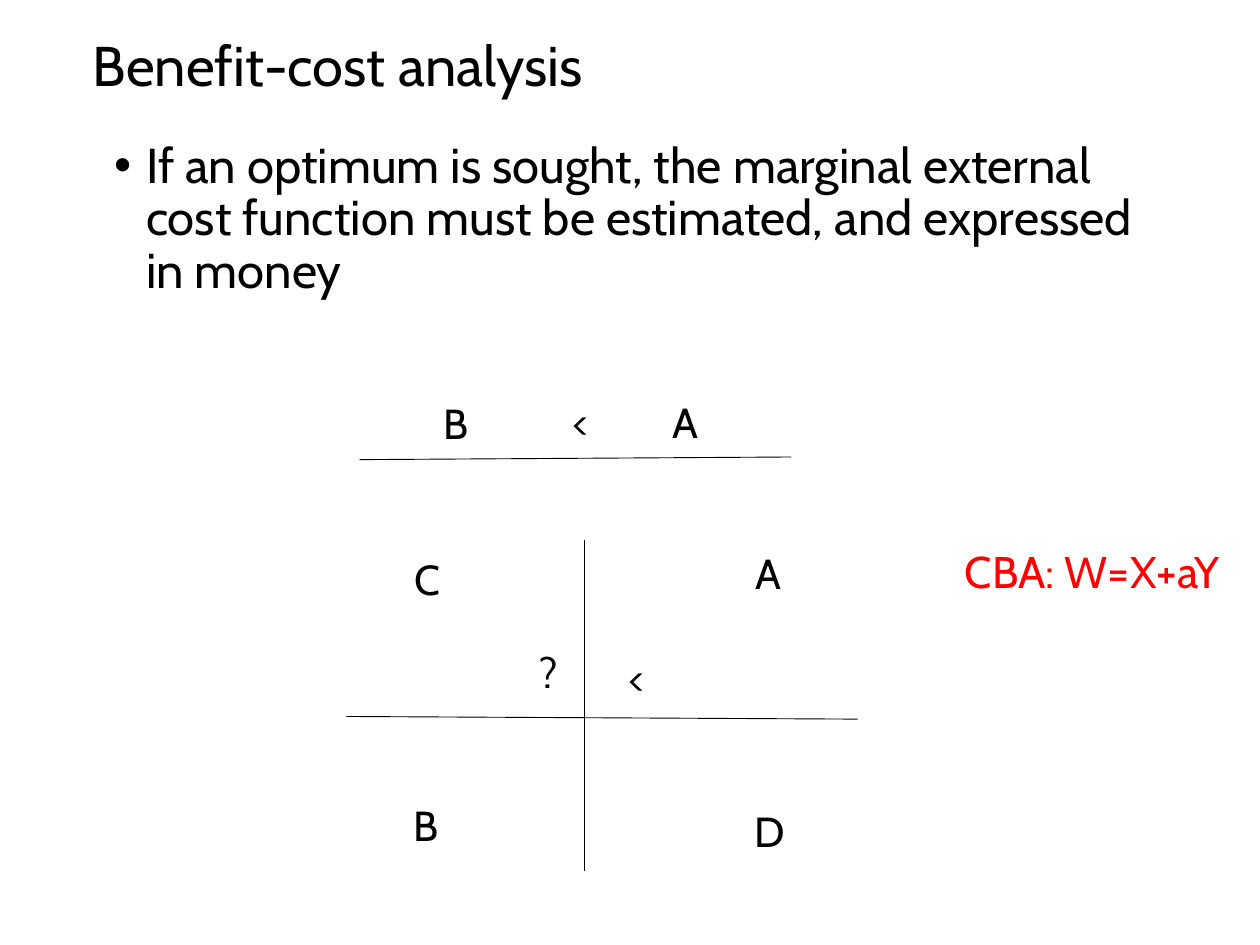
from lxml.etree import SubElement
from pptx import Presentation
from pptx.dml.color import RGBColor
from pptx.enum.shapes import MSO_CONNECTOR
from pptx.enum.text import MSO_ANCHOR, MSO_AUTO_SIZE
from pptx.oxml.ns import qn
from pptx.util import Pt

PX = 9144  # 100 px to the inch
COLORS = {"ink": "000000", "formula": "FF0000"}

deck = Presentation()
deck.slide_width, deck.slide_height = 1422 * PX, 1067 * PX
slide = deck.slides.add_slide(deck.slide_layouts[6])


def add_text(text, left, top, width, height, size=34.1, color="ink", wrap=True,
             grow=True, anchor=MSO_ANCHOR.TOP, spacing=None, hanging=0):
    """Add a text box; a hanging indent in px also gives it a bullet."""
    box = slide.shapes.add_textbox(left * PX, top * PX, width * PX, height * PX)
    frame = box.text_frame
    frame.word_wrap = wrap
    frame.auto_size = MSO_AUTO_SIZE.SHAPE_TO_FIT_TEXT if grow else MSO_AUTO_SIZE.NONE
    frame.vertical_anchor = anchor
    paragraph = frame.paragraphs[0]
    paragraph.text = text
    if hanging:
        properties = paragraph._p.get_or_add_pPr()
        properties.set("marL", str(hanging * PX))
        properties.set("indent", str(-hanging * PX))
        SubElement(properties, qn("a:buFont"), typeface="Arial")
        SubElement(properties, qn("a:buChar"), char="•")
    if spacing:
        paragraph.line_spacing = spacing
    font = paragraph.runs[0].font
    font.name, font.size = "Cabin", Pt(size)
    font.color.rgb = RGBColor.from_string(COLORS[color])


add_text("Benefit-cost analysis", 95, 0, 1209, 154, size=45.5, grow=False,
         anchor=MSO_ANCHOR.MIDDLE, spacing=0.9)
add_text("If an optimum is sought, the marginal external cost function must be "
         "estimated, and expressed in money", 119, 154, 1209, 711, size=39.8,
         grow=False, spacing=0.9, hanging=36)

# Ranking line, then the horizontal and vertical axes of the quadrants
for x1, y1, x2, y2 in [(406, 519, 893, 516), (391, 809, 968, 812), (660, 610, 660, 984)]:
    line = slide.shapes.add_connector(MSO_CONNECTOR.STRAIGHT, x1 * PX, y1 * PX, x2 * PX, y2 * PX)
    line.line.width = Pt(0.75)
    line.line.color.rgb = RGBColor.from_string(COLORS["ink"])
    SubElement(line._element.spPr, qn("a:effectLst"))

ranking = [("B", 491, 444, 48), ("<", 636, 443, 44), ("A", 749, 443, 50)]
quadrants = [("C", 458, 620, 46), ("A", 843, 613, 50), ("B", 457, 898, 48),
             ("D", 842, 905, 51), ("?", 599, 725, 37), ("<", 699, 732, 44)]
for label, left, top, width in ranking + quadrants:
    add_text(label, left, top, width, 68, wrap=False)

add_text("CBA: W=X+aY", 1079, 610, 325, 71, size=36, color="formula")

deck.save("out.pptx")
